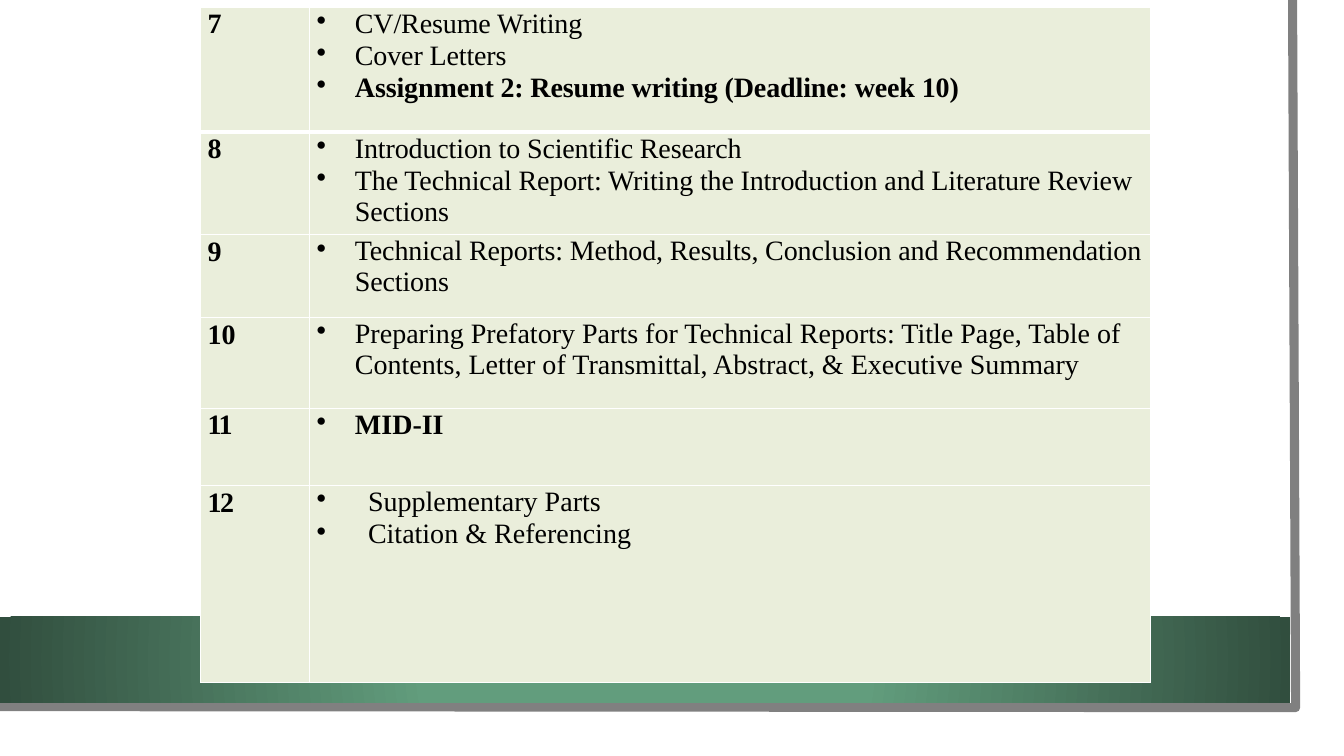
from lxml import etree
from pptx import Presentation
from pptx.dml.color import RGBColor
from pptx.enum.shapes import MSO_SHAPE as Preset
from pptx.oxml import parse_xml
from pptx.oxml.ns import nsdecls, qn
from pptx.util import Pt

PX = 9144  # one px is a hundredth of an inch
WHITE = RGBColor(0xFF, 0xFF, 0xFF)
BLACK = RGBColor(0, 0, 0)
GREY = RGBColor(0x80, 0x80, 0x80)
CREAM = RGBColor(0xEA, 0xEE, 0xDB)
GREEN = RGBColor(0x62, 0x9D, 0x7D)
DARK_GREEN = RGBColor(0x31, 0x4E, 0x3E)

TIGHT = -10  # letter spacing in hundredths of a point
COLUMNS = [108, 834]
# week, week letter spacing, row height, bullet indent, topic letter spacing, topics (text, bold)
WEEKS = [
    ("7", 0, 124, 38, TIGHT, [
        ("CV/Resume Writing", False),
        ("Cover Letters", False),
        ("Assignment 2: Resume writing (Deadline: week 10)", True)]),
    ("8", 0, 102, 38, TIGHT, [
        ("Introduction to Scientific Research", False),
        ("The Technical Report: Writing the Introduction and Literature Review Sections", False)]),
    ("9", 0, 82, 38, TIGHT, [
        ("Technical Reports: Method, Results, Conclusion and Recommendation Sections", False)]),
    ("10", 0, 90, 38, 0, [
        ("Preparing Prefatory Parts for Technical Reports: Title Page, Table of Contents, "
         "Letter of Transmittal, Abstract, & Executive Summary", False)]),
    ("11", -110, 77, 38, 0, [("MID-II", True)]),
    ("12", -110, 195, 51, 0, [
        ("Supplementary Parts", False),
        ("Citation & Referencing", False)]),
]


class SlideBuilder:
    text_style = {"name": "Times New Roman", "size": Pt(20)}
    text_indent = 7

    def __init__(self, slide):
        self.slide = slide

    def rectangle(self, left, top, width, height, fill):
        shape = self.slide.shapes.add_shape(
            Preset.RECTANGLE, left * PX, top * PX, width * PX, height * PX)
        shape.shadow.inherit = False
        shape.line.fill.background()
        shape.fill.solid()
        shape.fill.fore_color.rgb = fill
        return shape

    def radial_band(self, left, top, width, height, inner, outer):
        shape = self.rectangle(left, top, width, height, inner)
        gradient = parse_xml(
            f'<a:gradFill {nsdecls("a")}><a:gsLst>'
            f'<a:gs pos="34000"><a:srgbClr val="{inner}"/></a:gs>'
            f'<a:gs pos="100000"><a:srgbClr val="{outer}"/></a:gs></a:gsLst>'
            '<a:path path="circle"><a:fillToRect l="50000" t="50000" r="50000" b="50000"/>'
            '</a:path></a:gradFill>')
        solid = shape.element.spPr.find(qn("a:solidFill"))
        solid.getparent().replace(solid, gradient)

    def outline(self, points, color, width):
        builder = self.slide.shapes.build_freeform(*points[0], scale=PX)
        builder.add_line_segments(points[1:], close=False)
        shape = builder.convert_to_shape()
        shape.shadow.inherit = False
        shape.fill.background()
        shape.line.color.rgb = color
        shape.line.width = Pt(width)

    def table(self, left, top, columns, heights):
        frame = self.slide.shapes.add_table(
            len(heights), len(columns), left * PX, top * PX, sum(columns) * PX, sum(heights) * PX)
        table = frame.table
        table.first_row = table.horz_banding = False
        for column, width in zip(table.columns, columns):
            column.width = width * PX
        for row, height in zip(table.rows, heights):
            row.height = height * PX
        return table

    def cell(self, cell, fill, top_margin, borders):
        margins = {"margin_left": 0, "margin_right": 0,
                   "margin_top": top_margin * PX, "margin_bottom": 0}
        for name, value in margins.items():
            setattr(cell, name, value)
        cell.fill.solid()
        cell.fill.fore_color.rgb = fill
        properties = cell._tc.get_or_add_tcPr()
        for position, (side, width) in enumerate(borders.items()):
            properties.insert(position, parse_xml(
                f'<a:ln{side} {nsdecls("a")} w="{Pt(width)}"><a:solidFill>'
                f'<a:srgbClr val="{WHITE}"/></a:solidFill></a:ln{side}>'))

    def text(self, paragraph, text, bold, spacing, hanging=0):
        properties = paragraph._p.get_or_add_pPr()
        properties.set("marL", str((self.text_indent + hanging) * PX))
        properties.set("indent", str(-hanging * PX))
        if hanging:
            etree.SubElement(properties, qn("a:buChar")).set("char", "•")
        run = paragraph.add_run()
        run.text = text
        for name, value in {**self.text_style, "bold": bold}.items():
            setattr(run.font, name, value)
        run.font.color.rgb = BLACK
        run._r.get_or_add_rPr().set("spc", str(spacing))


def main():
    presentation = Presentation()
    presentation.slide_width = 1333 * PX
    presentation.slide_height = 750 * PX
    builder = SlideBuilder(presentation.slides.add_slide(presentation.slide_layouts[6]))

    # Page with its grey edge and green band
    builder.rectangle(0, 0, 1310, 727, WHITE)
    builder.outline([(1282, 0), (1285, 702), (-3, 701)], GREY, 6.5)
    builder.radial_band(0, 612, 1280, 85, GREEN, DARK_GREEN)

    # Weekly schedule
    table = builder.table(199, 7, COLUMNS, [week[2] for week in WEEKS])
    for index, (week, week_spacing, _, hanging, spacing, topics) in enumerate(WEEKS):
        borders = {"L": 1, "R": 1, "T": 3 if index == 1 else 1, "B": 3 if index == 0 else 1}
        week_cell, topic_cell = table.cell(index, 0), table.cell(index, 1)
        builder.cell(week_cell, CREAM, 0, borders)
        builder.cell(topic_cell, CREAM, 1, borders)

        number = week_cell.text_frame.paragraphs[0]
        number.line_spacing = Pt(23.4)
        builder.text(number, week, True, week_spacing)

        frame = topic_cell.text_frame
        for position, (topic, bold) in enumerate(topics):
            paragraph = frame.add_paragraph() if position else frame.paragraphs[0]
            if position:
                paragraph.space_before = Pt(0.8)
            builder.text(paragraph, topic, bold, spacing, hanging)

    presentation.save("out.pptx")


if __name__ == "__main__":
    main()
